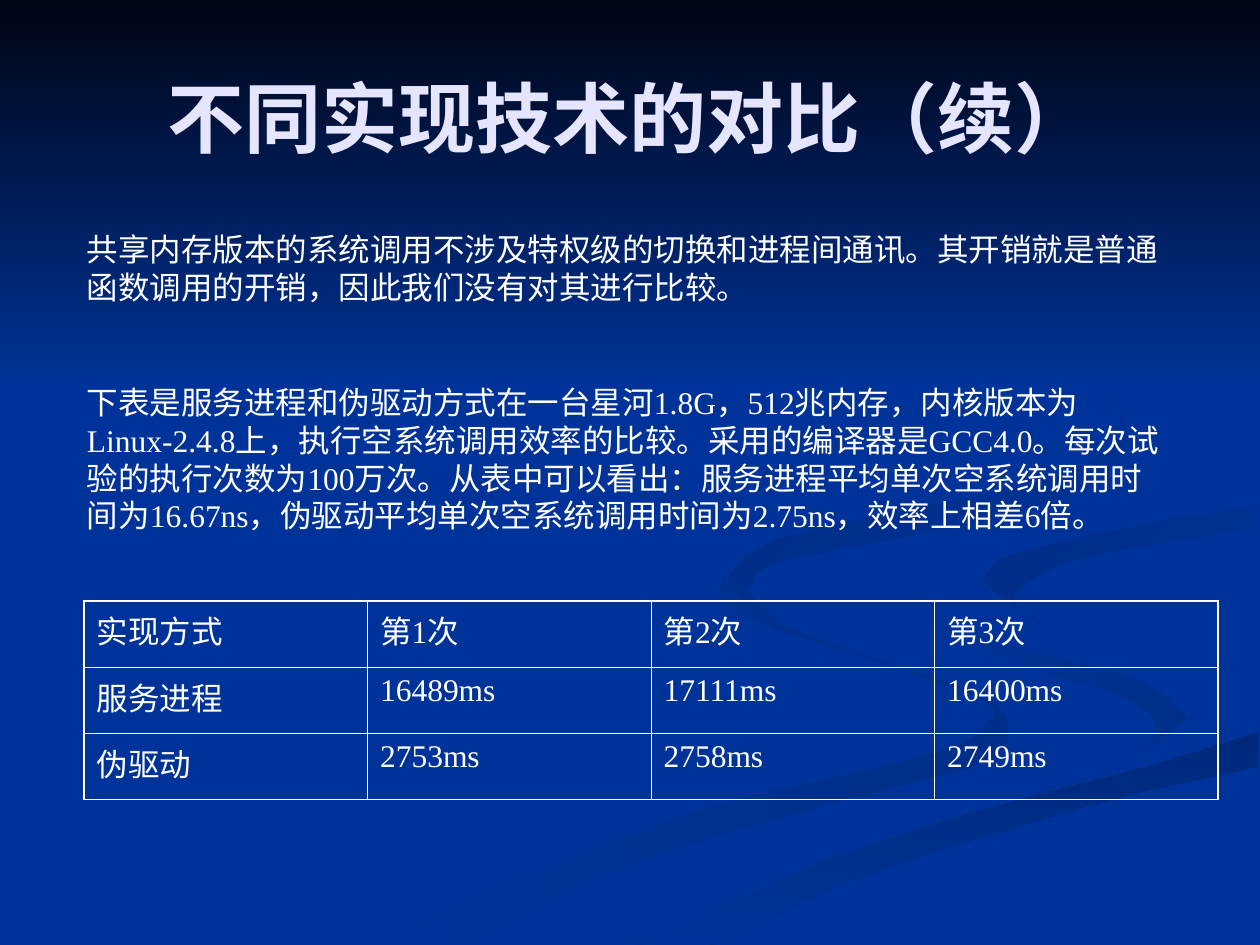
import pptx
import pptx.dml.color
import pptx.enum.text
import pptx.oxml
import pptx.oxml.ns
import pptx.util

Pt = pptx.util.Pt
RGBColor = pptx.dml.color.RGBColor
PP_ALIGN = pptx.enum.text.PP_ALIGN
MSO_ANCHOR = pptx.enum.text.MSO_ANCHOR

BLUE = RGBColor(0x00, 0x33, 0x99)
NIGHT = RGBColor(0x00, 0x05, 0x14)
SHADE = RGBColor(0x00, 0x2E, 0x8A)
DEEP = RGBColor(0x00, 0x29, 0x7C)
EDGE = RGBColor(0x00, 0x2C, 0x85)
CURL = RGBColor(0x00, 0x2B, 0x81)
LAVENDER = RGBColor(0xE5, 0xE5, 0xFF)
WHITE = RGBColor(0xFF, 0xFF, 0xFF)

FONT = "Times New Roman"
TITLE = "不同实现技术的对比（续）"
BODY = [
    "共享内存版本的系统调用不涉及特权级的切换和进程间通讯。其开销就是普通函数调用的开销，因此我们没有对其进行比较。",
    "下表是服务进程和伪驱动方式在一台星河1.8G，512兆内存，内核版本为Linux-2.4.8上，执行空系统调用效率的比较。"
    "采用的编译器是GCC4.0。每次试验的执行次数为100万次。从表中可以看出：服务进程平均单次空系统调用时间为16.67ns，"
    "伪驱动平均单次空系统调用时间为2.75ns，效率上相差6倍。",
]
ROWS = [
    ["实现方式", "第1次", "第2次", "第3次"],
    ["服务进程", "16489ms", "17111ms", "16400ms"],
    ["伪驱动", "2753ms", "2758ms", "2749ms"],
]

HOOK = [(522, 334), (546, 359), (598, 374), (652, 389), (679, 410)]
BANK = [(374, 538), (454, 499), (550, 466), (662, 436), (719, 418)]
CREST = [(562, 333), (576, 318), (647, 301), (719, 289)]
WAVES = [
    (SHADE, BLUE, 180, [
        [(410, 337), (427, 353), (502, 378), (562, 400), (564, 413), (532, 431), (388, 467), (216, 539)],
        [(260, 539), (359, 494), (487, 456), (562, 436), (576, 418), (562, 398), (491, 374), (428, 349), (414, 330)]]),
    (SHADE, BLUE, 135, [HOOK, [(644, 436), (661, 418), (642, 398), (574, 377), (528, 351)]]),
    (DEEP, BLUE, 270, [BANK, [(719, 438), (620, 461), (482, 505), (411, 539), (362, 539)]]),
    (BLUE, BLUE, 0, [
        HOOK, [(656, 432), (535, 463), (343, 539)], BANK, [(719, 387), (624, 366), (579, 349)],
        CREST, [(719, 279), (613, 296), (554, 307), (526, 323)]]),
    (BLUE, EDGE, 135, [CREST, [(719, 302), (618, 319), (580, 340), (595, 357)]]),
    (BLUE, CURL, 135, [
        [(549, 168), (609, 201), (640, 241), (606, 272), (507, 294), (443, 309), (416, 333), (448, 360)],
        [(427, 338), (449, 320), (566, 297), (631, 272), (643, 240), (607, 198)]]),
    (NIGHT, BLUE, 270, [[(0, 0), (0, 222)], [(720, 222), (720, 0)]]),
]


def write(p, text, size=18, color=WHITE, bold=False, align=PP_ALIGN.LEFT, before=0):
    p.alignment = align
    p.space_before = Pt(before)
    r = p.add_run()
    r.text = text
    r.font.name = FONT
    r.font.size = Pt(size)
    r.font.bold = bold
    r.font.color.rgb = color


def place(sp, left, top, width, height):
    sp.left, sp.top, sp.width, sp.height = Pt(left), Pt(top), Pt(width), Pt(height)


def smooth(edge, steps=4):
    if len(edge) < 3:
        return edge
    padded = [edge[0], *edge, edge[-1]]
    points = []
    for quad in zip(padded, padded[1:], padded[2:], padded[3:]):
        for t in (k / steps for k in range(steps)):
            points.append(tuple(
                b + t * (c - a) / 2 + t**2 * (2 * a - 5 * b + 4 * c - d) / 2 + t**3 * (3 * b - a - 3 * c + d) / 2
                for a, b, c, d in zip(*quad)))
    return points + [edge[-1]]


def add_wave(s, start, end, angle, edges):
    points = [point for edge in edges for point in smooth(edge)]
    fb = s.shapes.build_freeform(*points[0], scale=Pt(1))
    fb.add_line_segments(points[1:], close=True)
    sp = fb.convert_to_shape()
    sp.shadow.inherit = False
    sp.line.fill.background()
    if start == end:
        sp.fill.solid()
        sp.fill.fore_color.rgb = start
        return
    sp.fill.gradient()
    sp.fill.gradient_angle = angle
    for stop, color, position in zip(sp.fill.gradient_stops, (start, end), (0, 1)):
        stop.color.rgb = color
        stop.position = position


def add_border(cell, side, width):
    ns = pptx.oxml.ns.nsdecls("a")
    cell._tc.get_or_add_tcPr().append(pptx.oxml.parse_xml(
        f'<a:ln{side} {ns} w="{Pt(width)}"><a:solidFill><a:srgbClr val="{WHITE}"/></a:solidFill></a:ln{side}>'))


prs = pptx.Presentation()
prs.slide_width, prs.slide_height = Pt(720), Pt(540)
s = prs.slides.add_slide(prs.slide_layouts[1])
s.background.fill.solid()
s.background.fill.fore_color.rgb = BLUE

title, body = s.placeholders
for wave in WAVES:
    add_wave(s, *wave)
for sp in (title, body):
    s.shapes._spTree.append(sp._element)

place(title, 36, 21.6, 648, 90)
title.text_frame.vertical_anchor = MSO_ANCHOR.MIDDLE
write(title.text_frame.paragraphs[0], TITLE, size=44, color=LAVENDER, bold=True, align=PP_ALIGN.CENTER)

place(body, 42.5, 128, 635, 203)
tf = body.text_frame
tf.auto_size = pptx.enum.text.MSO_AUTO_SIZE.NONE
for i, text in enumerate(BODY):
    p = tf.add_paragraph() if i else tf.paragraphs[0]
    pPr = p._p.get_or_add_pPr()
    pPr.set("marL", "0")
    pPr.set("indent", "0")
    pPr.append(pptx.oxml.parse_xml(f'<a:buNone {pptx.oxml.ns.nsdecls("a")}/>'))
    write(p, text, before=44 * i)

n_rows, n_cols = len(ROWS), len(ROWS[0])
table = s.shapes.add_table(n_rows, n_cols, Pt(48), Pt(343.5), Pt(648), Pt(113.4)).table
table.first_row = table.horz_banding = False
for i, row in enumerate(ROWS):
    table.rows[i].height = Pt(37.8)
    for j, text in enumerate(row):
        cell = table.cell(i, j)
        write(cell.text_frame.paragraphs[0], text)
        outer = {"L": j == 0, "R": j == n_cols - 1, "T": i == 0, "B": i == n_rows - 1}
        for side, is_outer in outer.items():
            add_border(cell, side, 1.08 if is_outer else 0.45)
        cell.fill.background()

prs.save("out.pptx")
